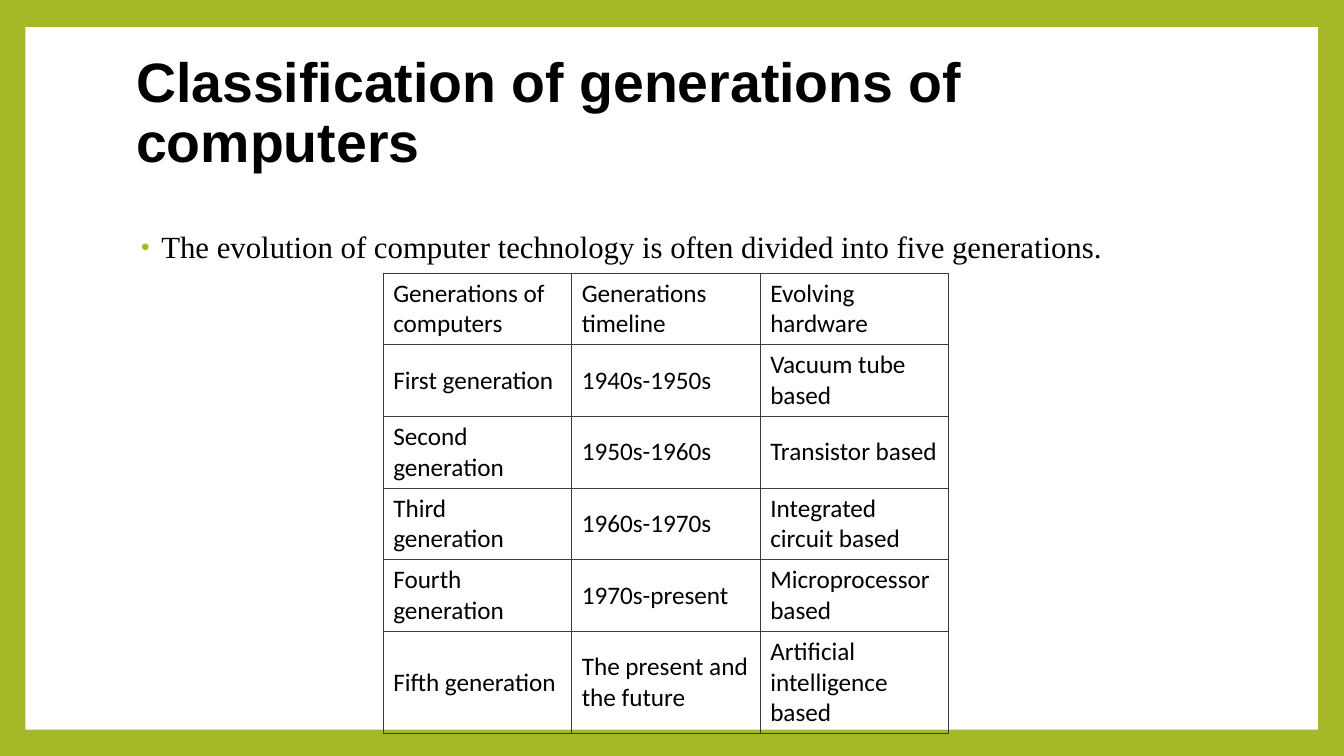
from dataclasses import dataclass

import pptx
import pptx.dml.color
import pptx.enum.shapes
import pptx.enum.text
import pptx.oxml
import pptx.oxml.ns
import pptx.util


@dataclass(frozen=True)
class Theme:
    accent: str = "A6B727"
    paper: str = "FFFFFF"
    ink: str = "000000"
    rule: str = "373D3F"
    title_font: str = "Arial"
    body_font: str = "Times New Roman"
    table_font: str = "Calibri"
    title_size: float = 39.6
    body_size: float = 22
    table_size: float = 18
    rule_width: float = 0.6


@dataclass(frozen=True)
class Box:
    """Left, top, width and height in percent of the slide."""
    x: float
    y: float
    w: float
    h: float


@dataclass(frozen=True)
class Generation:
    name: str
    timeline: str
    hardware: str


THEME = Theme()
WIDTH, HEIGHT = pptx.util.Inches(13.33), pptx.util.Inches(7.5)
PANEL = Box(1.88, 3.6, 96.17, 92.93)
TITLE = Box(9.38, 8.93, 81.02, 19.73)
BODY = Box(9.38, 30, 81.02, 58.93)
TABLE = Box(28.51, 36.13, 42.08, 57.33)
ROW, LAST_ROW = 8.93, 12.67

HEADER = Generation("Generations of computers", "Generations timeline", "Evolving hardware")
GENERATIONS = [
    Generation("First generation", "1940s-1950s", "Vacuum tube based"),
    Generation("Second generation", "1950s-1960s", "Transistor based"),
    Generation("Third generation", "1960s-1970s", "Integrated circuit based"),
    Generation("Fourth generation", "1970s-present", "Microprocessor based"),
    Generation("Fifth generation", "The present and the future", "Artificial intelligence based"),
]


def across(share: float) -> int:
    return round(WIDTH * share / 100)


def down(share: float) -> int:
    return round(HEIGHT * share / 100)


def frame(box: Box) -> tuple[int, int, int, int]:
    return across(box.x), down(box.y), across(box.w), down(box.h)


def rgb(value: str) -> pptx.dml.color.RGBColor:
    return pptx.dml.color.RGBColor.from_string(value)


def format_runs(p, font: str, size: float, bold: bool = False) -> None:
    for r in p.runs:
        r.font.name = font
        r.font.size = pptx.util.Pt(size)
        r.font.bold = bold
        r.font.color.rgb = rgb(THEME.ink)


def fill_placeholder(sp, box: Box, text: str, anchor):
    sp.left, sp.top, sp.width, sp.height = frame(box)
    tf = sp.text_frame
    tf.text = text
    tf.word_wrap = True
    tf.auto_size = pptx.enum.text.MSO_AUTO_SIZE.NONE
    tf.vertical_anchor = anchor
    p = tf.paragraphs[0]
    p.alignment = pptx.enum.text.PP_ALIGN.LEFT
    p.line_spacing = 0.9
    return tf, p


def add_bullet(p) -> None:
    pPr = p._p.get_or_add_pPr()
    pPr.set("marL", str(pptx.util.Inches(0.25)))
    pPr.set("indent", str(pptx.util.Inches(-0.2)))
    ns = pptx.oxml.ns.nsdecls("a")
    for xml in (
        f'<a:buClr {ns}><a:srgbClr val="{THEME.accent}"/></a:buClr>',
        f'<a:buSzPct {ns} val="80000"/>',
        f'<a:buFont {ns} typeface="Arial"/>',
        f'<a:buChar {ns} char="•"/>',
    ):
        pPr.append(pptx.oxml.parse_xml(xml))


def format_cell(cell, text: str) -> None:
    cell.text_frame.text = text
    cell.vertical_anchor = pptx.enum.text.MSO_ANCHOR.MIDDLE
    format_runs(cell.text_frame.paragraphs[0], THEME.table_font, THEME.table_size)
    tcPr = cell._tc.get_or_add_tcPr()
    ns = pptx.oxml.ns.nsdecls("a")
    for side in ("lnL", "lnR", "lnT", "lnB"):
        tcPr.append(pptx.oxml.parse_xml(
            f'<a:{side} {ns} w="{pptx.util.Pt(THEME.rule_width)}"><a:solidFill>'
            f'<a:srgbClr val="{THEME.rule}"/></a:solidFill></a:{side}>'))
    cell.fill.background()


def add_generation_table(s, rows: list[Generation]) -> None:
    table = s.shapes.add_table(len(rows), 3, *frame(TABLE)).table
    table.first_row = table.horz_banding = False
    for column in table.columns:
        column.width = across(TABLE.w / 3)
    for i, row in enumerate(rows):
        table.rows[i].height = down(LAST_ROW if row is rows[-1] else ROW)
        for j, text in enumerate((row.name, row.timeline, row.hardware)):
            format_cell(table.cell(i, j), text)


def main() -> None:
    prs = pptx.Presentation()
    prs.slide_width, prs.slide_height = WIDTH, HEIGHT
    s = prs.slides.add_slide(prs.slide_layouts[1])

    # Green border: coloured background behind a white panel
    s.background.fill.solid()
    s.background.fill.fore_color.rgb = rgb(THEME.accent)
    panel = s.shapes.add_shape(pptx.enum.shapes.MSO_SHAPE.RECTANGLE, *frame(PANEL))
    panel.shadow.inherit = False
    panel.fill.solid()
    panel.fill.fore_color.rgb = rgb(THEME.paper)
    panel.line.fill.background()
    s.shapes._spTree.insert(2, panel._element)

    # Title, raised by a deep bottom margin
    tf, p = fill_placeholder(s.shapes.title, TITLE, "Classification of generations of computers",
                             pptx.enum.text.MSO_ANCHOR.MIDDLE)
    tf.margin_bottom = down(8)
    format_runs(p, THEME.title_font, THEME.title_size, bold=True)

    # Introductory bullet
    tf, p = fill_placeholder(
        s.placeholders[1], BODY,
        "The evolution of computer technology is often divided into five generations.",
        pptx.enum.text.MSO_ANCHOR.TOP)
    p.space_before = pptx.util.Pt(14)
    add_bullet(p)
    format_runs(p, THEME.body_font, THEME.body_size)

    # Table of generations
    add_generation_table(s, [HEADER, *GENERATIONS])

    prs.save("out.pptx")


if __name__ == "__main__":
    main()
